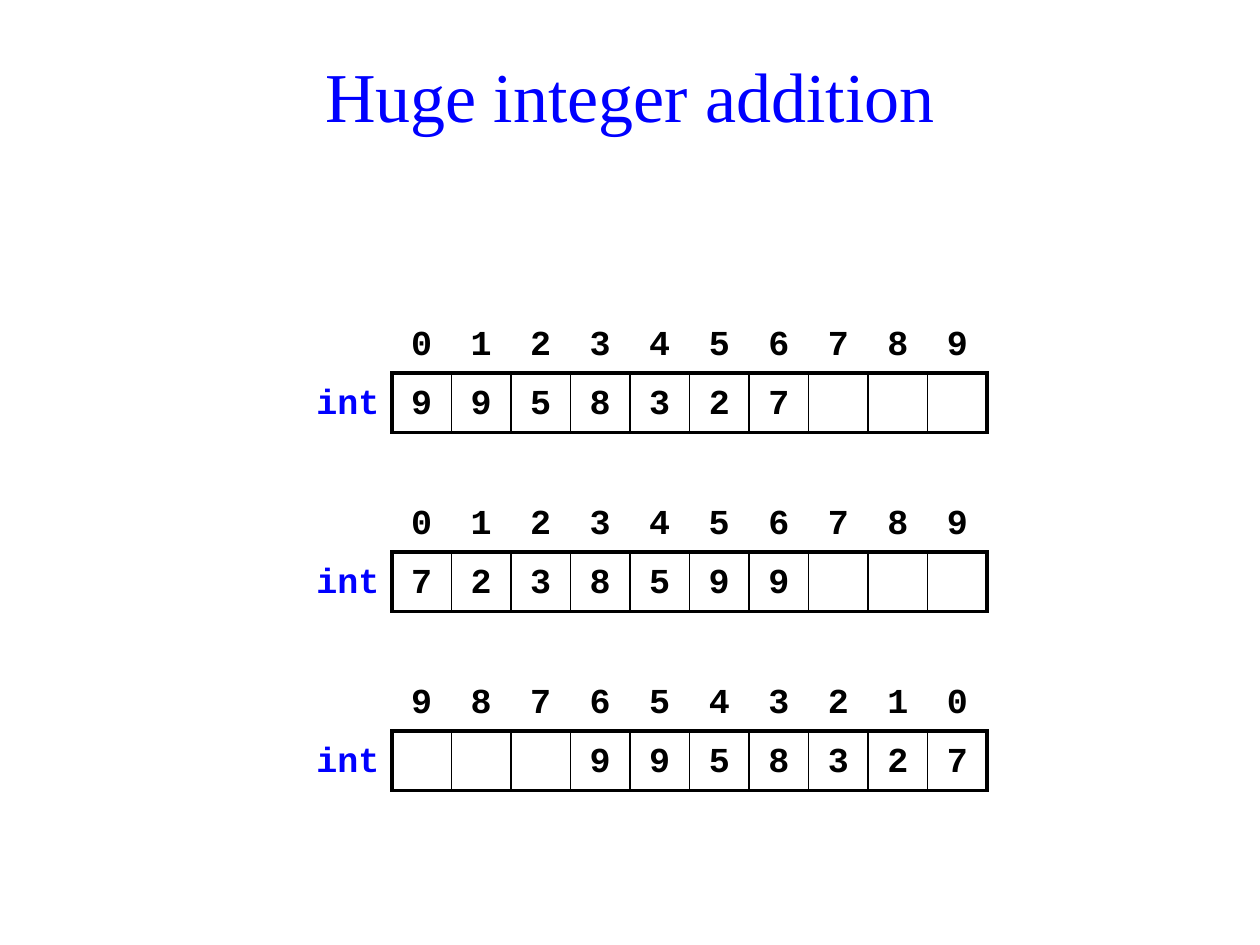
from dataclasses import dataclass

from lxml import etree
from pptx import Presentation
from pptx.dml import color
from pptx.enum import text
from pptx.oxml import ns
from pptx.util import Cm, Pt


@dataclass(frozen=True)
class Theme:
    accent: color.RGBColor = color.RGBColor(0, 0, 255)
    ink: color.RGBColor = color.RGBColor(0, 0, 0)
    title_font: str = "Times New Roman"
    code_font: str = "Courier New"
    title_size: int = 40
    code_size: int = 20
    frame: float = 2.25
    divider: float = 1


THEME = Theme()
DIGIT_SIDE = 1.2
DIGITS_LEFT = 7.9
FIRST_TOP = 6.32
ARRAY_STEP = 3.61
PLAIN_TABLE = "{2D5ABB26-0587-4C30-8999-92F81FD0307C}"
ARRAYS = [
    (3.2, "0123456789", "9958327   "),
    (2.8, "0123456789", "7238599   "),
    (2.0, "9876543210", "   9958327"),
]


def write(paragraph, words, font, size, ink, align, bold=False):
    paragraph.alignment = align
    run = paragraph.add_run()
    run.text = words
    run.font.name = font
    run.font.size = Pt(size)
    run.font.bold = bold
    run.font.color.rgb = ink


def add_title(slide, words):
    title = slide.shapes.add_textbox(Cm(0.7), Cm(0.7), Cm(24), Cm(2.4))
    frame = title.text_frame
    frame.word_wrap = True
    frame.vertical_anchor = text.MSO_ANCHOR.MIDDLE
    write(frame.paragraphs[0], words, THEME.title_font, THEME.title_size,
          THEME.accent, text.PP_ALIGN.CENTER)


def set_borders(cell, widths):
    properties = cell._tc.get_or_add_tcPr()
    for position, side in enumerate("LRTB"):
        line = etree.Element(ns.qn(f"a:ln{side}"))
        if side in widths:
            line.set("w", str(Pt(widths[side])))
            fill = etree.SubElement(line, ns.qn("a:solidFill"))
            etree.SubElement(fill, ns.qn("a:srgbClr"), val=str(THEME.ink))
        else:
            etree.SubElement(line, ns.qn("a:noFill"))
        properties.insert(position, line)


def fill_cell(cell, words, borders, ink=THEME.ink, align=text.PP_ALIGN.CENTER):
    cell.margin_left = cell.margin_right = Cm(0.25)
    cell.margin_top = cell.margin_bottom = Cm(0.05)
    cell.fill.background()
    set_borders(cell, borders)
    if words.strip():
        paragraph = cell.text_frame.paragraphs[0]
        paragraph.line_spacing = 1.25
        write(paragraph, words, THEME.code_font, THEME.code_size, ink, align, bold=True)


def add_array(slide, top, label_width, indices, digits):
    count = len(digits)
    table = slide.shapes.add_table(
        2, count + 1, Cm(DIGITS_LEFT - label_width), Cm(top),
        Cm(label_width + count * DIGIT_SIDE), Cm(2 * DIGIT_SIDE)).table
    table.first_row = table.horz_banding = False
    table._tbl.tblPr.find(ns.qn("a:tableStyleId")).text = PLAIN_TABLE
    for row in table.rows:
        row.height = Cm(DIGIT_SIDE)
    table.columns[0].width = Cm(label_width)
    fill_cell(table.cell(0, 0), "", {})
    fill_cell(table.cell(1, 0), "int", {"R": THEME.frame},
              THEME.accent, text.PP_ALIGN.RIGHT)
    for column, (index, digit) in enumerate(zip(indices, digits), start=1):
        table.columns[column].width = Cm(DIGIT_SIDE)
        fill_cell(table.cell(0, column), index, {"B": THEME.frame})
        fill_cell(table.cell(1, column), digit, {
            "L": THEME.frame if column == 1 else THEME.divider,
            "R": THEME.frame if column == count else THEME.divider,
            "T": THEME.frame,
            "B": THEME.frame,
        })


def main():
    deck = Presentation()
    deck.slide_width, deck.slide_height = Cm(25.4), Cm(19.05)
    slide = deck.slides.add_slide(deck.slide_layouts[6])
    add_title(slide, "Huge integer addition")
    for order, (label_width, indices, digits) in enumerate(ARRAYS):
        add_array(slide, FIRST_TOP + order * ARRAY_STEP, label_width, indices, digits)
    deck.save("out.pptx")


main()
